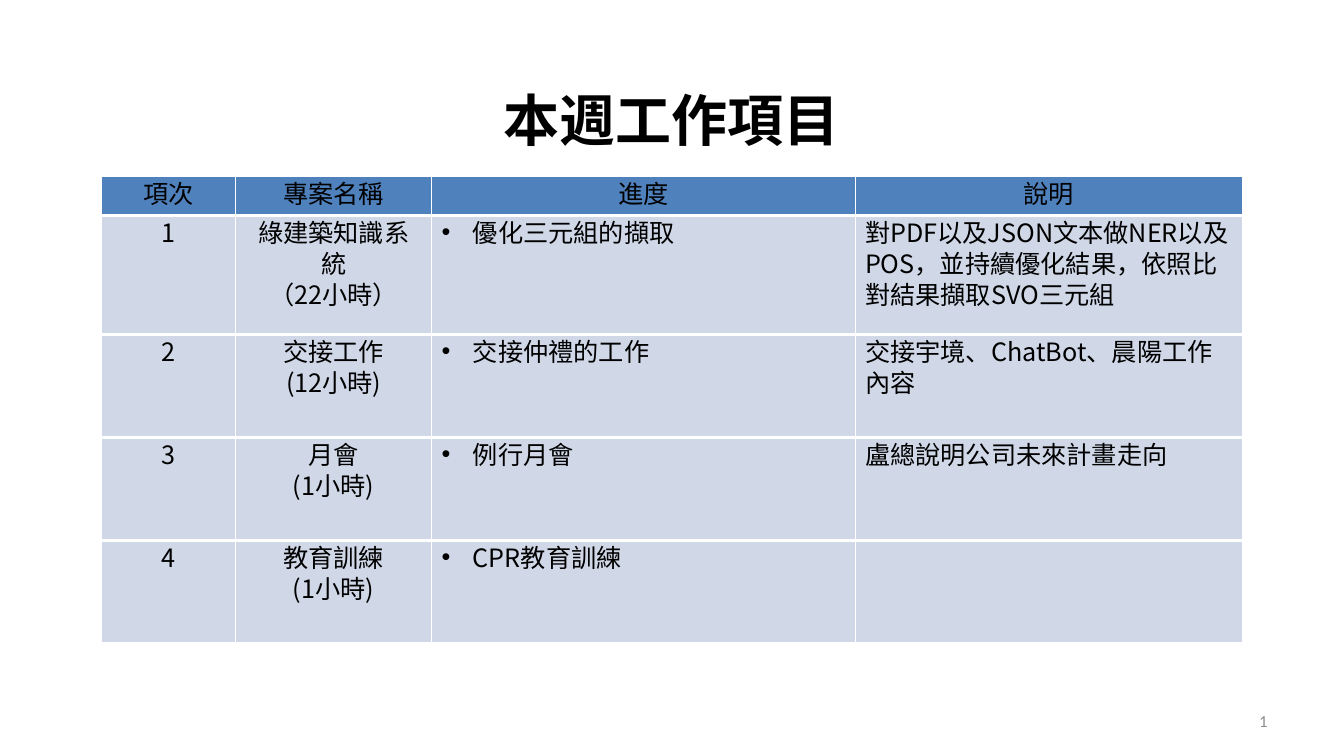
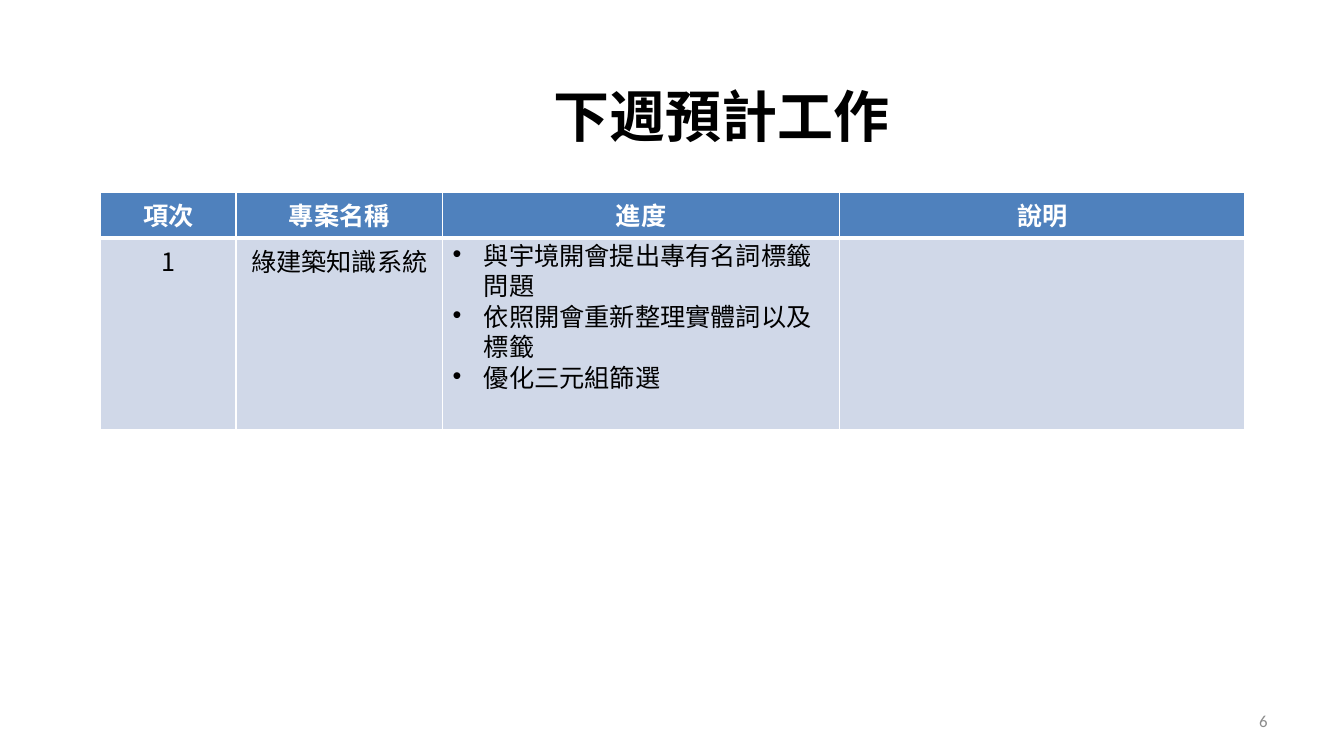
from lxml.etree import SubElement
from pptx import Presentation
from pptx.dml.color import RGBColor
from pptx.enum.text import MSO_ANCHOR, PP_ALIGN
from pptx.oxml.ns import qn
from pptx.util import Inches, Pt

BLACK = RGBColor(0x00, 0x00, 0x00)
WHITE = RGBColor(0xFF, 0xFF, 0xFF)
GRAY = RGBColor(0x8C, 0x8C, 0x8C)
HEADER_BLUE = RGBColor(0x4F, 0x81, 0xBD)
BODY_BLUE = RGBColor(0xD0, 0xD8, 0xE8)
TITLE_FONT = "Noto Sans CJK SC"
TABLE_FONT = "Noto Sans CJK TC"
LATIN_FONT = "Calibri"
LINE_SPACING = Pt(21.8)
HEADERS = ["項次", "專案名稱", "進度", "說明"]
PROGRESS, NOTES = 2, 3


def write_text(text_frame, text, size=18, font=TABLE_FONT, asian_font=None, color=BLACK,
               bold=False, align=PP_ALIGN.CENTER, spacing=None, bullet=False):
    for index, line in enumerate(text.split("\n")):
        paragraph = text_frame.add_paragraph() if index else text_frame.paragraphs[0]
        paragraph.alignment = align
        paragraph.line_spacing = spacing
        if bullet:
            properties = paragraph._p.get_or_add_pPr()
            properties.set("marL", str(Inches(0.31)))
            properties.set("indent", str(-Inches(0.31)))
            SubElement(properties, qn("a:buFont"), typeface="Arial")
            SubElement(properties, qn("a:buChar"), char="•")
        run = paragraph.add_run()
        run.text = line
        run.font.size = Pt(size)
        run.font.bold = bold
        run.font.color.rgb = color
        run.font.name = font
        SubElement(run._r.get_or_add_rPr(), qn("a:ea"), typeface=asian_font or font)


def add_border(cell, side, width):
    line = SubElement(cell._tc.get_or_add_tcPr(), qn(f"a:ln{side}"), w=str(Pt(width)))
    fill = SubElement(line, qn("a:solidFill"))
    SubElement(fill, qn("a:srgbClr"), val=str(WHITE))


pages = [
    {
        "number": "1",
        "title": "本週工作項目",
        "title_at": (3.63, 0.8),
        "table_at": (1.01, 1.75),
        "columns": [1.33, 1.94, 4.2, 3.84],
        "heights": [0.39, 1.18, 1.02, 1.02, 1.02],
        "borders": (0.75, 2.18),
        "header": {"spacing": LINE_SPACING},
        "label": {"spacing": LINE_SPACING},
        "rows": [
            ["1", "綠建築知識系統\n（22小時）", "優化三元組的擷取",
             "對PDF以及JSON文本做NER以及POS，並持續優化結果，依照比對結果擷取SVO三元組"],
            ["2", "交接工作\n(12小時)", "交接仲禮的工作", "交接宇境、ChatBot、晨陽工作內容"],
            ["3", "月會\n(1小時)", "例行月會", "盧總說明公司未來計畫走向"],
            ["4", "教育訓練\n(1小時)", "CPR教育訓練", ""],
        ],
    },
    {
        "number": "6",
        "title": "下週預計工作",
        "title_at": (4.13, 0.76),
        "table_at": (1, 1.91),
        "columns": [1.34, 2.05, 3.94, 4.02],
        "heights": [0.45, 1.91],
        "borders": (1, 3),
        "header": {"font": LATIN_FONT, "asian_font": TABLE_FONT, "color": WHITE, "bold": True},
        "label": {},
        "rows": [
            ["1", "綠建築知識系統",
             "與宇境開會提出專有名詞標籤問題\n依照開會重新整理實體詞以及標籤\n優化三元組篩選", ""],
        ],
    },
]

presentation = Presentation()
presentation.slide_width = Inches(13.33)
presentation.slide_height = Inches(7.5)

for page in pages:
    slide = presentation.slides.add_slide(presentation.slide_layouts[6])
    left, top = page["title_at"]
    text_boxes = [
        (page["number"], (9.56, 6.95, 3.11, 0.4),
         {"size": 12, "font": LATIN_FONT, "color": GRAY, "align": PP_ALIGN.RIGHT}),
        (page["title"], (left, top, 6.06, 0.77),
         {"size": 40, "font": TITLE_FONT, "bold": True}),
    ]
    for text, place, text_format in text_boxes:
        text_box = slide.shapes.add_textbox(*map(Inches, place))
        text_box.text_frame.word_wrap = True
        text_box.text_frame.vertical_anchor = MSO_ANCHOR.MIDDLE
        write_text(text_box.text_frame, text, **text_format)

    rows = [HEADERS] + page["rows"]
    left, top = page["table_at"]
    table = slide.shapes.add_table(
        len(rows), len(HEADERS), Inches(left), Inches(top),
        Inches(sum(page["columns"])), Inches(sum(page["heights"]))).table
    for column, width in zip(table.columns, page["columns"]):
        column.width = Inches(width)
    for row, height in zip(table.rows, page["heights"]):
        row.height = Inches(height)

    thin, thick = page["borders"]
    for row_index, texts in enumerate(rows):
        for column_index, text in enumerate(texts):
            cell = table.cell(row_index, column_index)
            cell.margin_top = cell.margin_bottom = Inches(0.04)
            for side, width in [("L", thin), ("R", thin),
                                ("T", thick if row_index else thin), ("B", thick)]:
                add_border(cell, side, width)
            cell.fill.solid()
            cell.fill.fore_color.rgb = BODY_BLUE if row_index else HEADER_BLUE
            if row_index == 0:
                text_format = page["header"]
            elif column_index == PROGRESS:
                text_format = {"align": PP_ALIGN.LEFT, "spacing": LINE_SPACING, "bullet": True}
            elif column_index == NOTES:
                text_format = {"align": PP_ALIGN.LEFT, "spacing": LINE_SPACING, "font": TITLE_FONT}
            else:
                text_format = page["label"]
            if text:
                write_text(cell.text_frame, text, **text_format)

presentation.save("out.pptx")
